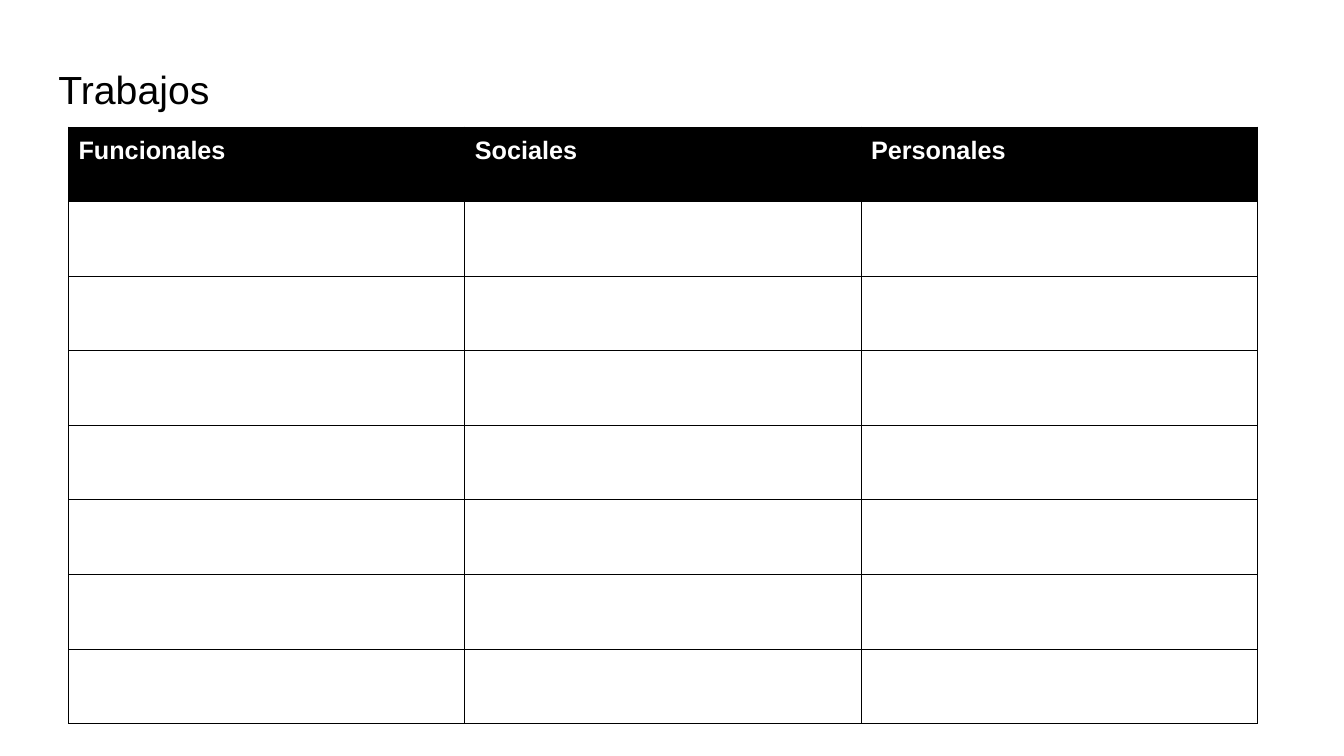
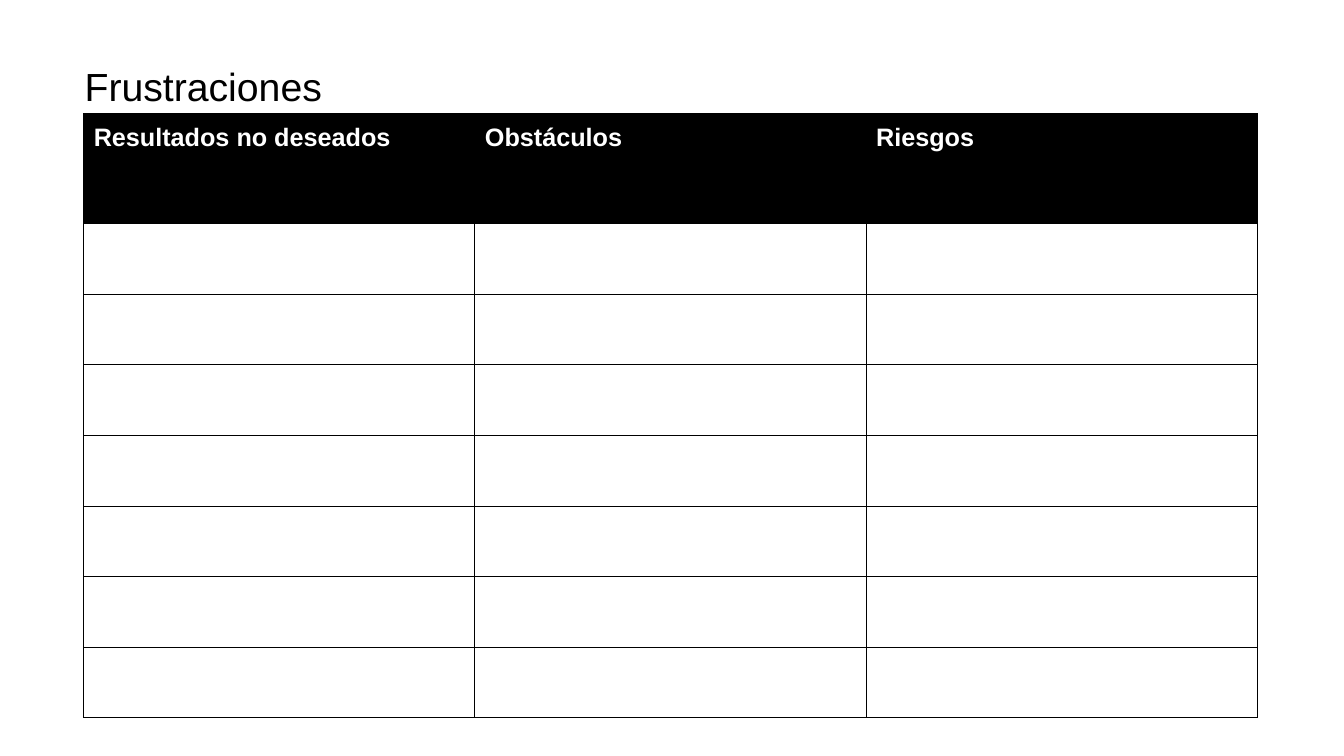
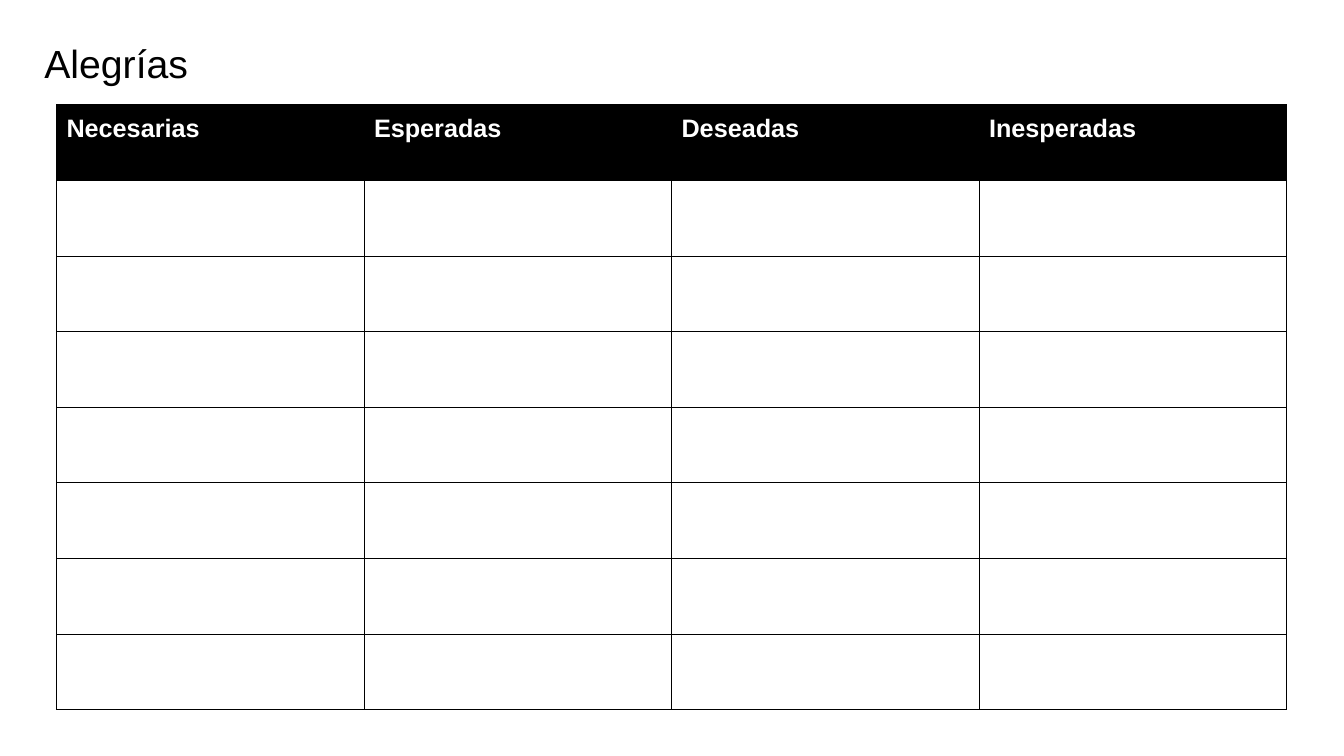
from lxml.etree import SubElement
from pptx import Presentation
from pptx.dml.color import RGBColor
from pptx.enum.text import MSO_ANCHOR as ANCHOR, MSO_AUTO_SIZE as AUTO, PP_ALIGN as ALIGN
from pptx.oxml.ns import qn
from pptx.util import Inches, Pt

# Shared style
BLACK, WHITE = "000000", "FFFFFF"
FONT = "Arial"
BODY_ROWS = 7
TITLE_SIZE = (3, 0.57)
TITLE_FRAME = {"word_wrap": True, "vertical_anchor": ANCHOR.TOP, "auto_size": AUTO.SHAPE_TO_FIT_TEXT}
TITLE_FONT = {"name": FONT, "size": Pt(28), "bold": False}
HEADER_FONT = {"name": FONT, "size": Pt(18), "bold": True}
CELL_MARGINS = {f"margin_{side}": Inches(0.1) for side in ("left", "top", "right", "bottom")}

# Title, title position, table position, column width, header height, row height, headings
SLIDES = [
    ("Trabajos", (0.48, 0.6), (0.68, 1.26), 3.93, 0.74, 0.74,
     ["Funcionales", "Sociales", "Personales"]),
    ("Frustraciones", (0.74, 0.57), (0.83, 1.13), 3.88, 1.09, 0.7,
     ["Resultados no deseados", "Obstáculos", "Riesgos"]),
    ("Alegrías", (0.34, 0.34), (0.56, 1.04), 3.05, 0.75, 0.75,
     ["Necesarias", "Esperadas", "Deseadas", "Inesperadas"]),
]


def write(tf, text, font, color):
    p = tf.paragraphs[0]
    p.alignment = ALIGN.LEFT
    r = p.add_run()
    r.text = text
    for name, value in font.items():
        setattr(r.font, name, value)
    r.font.color.rgb = RGBColor.from_string(color)


def add_borders(cell, color, width):
    tc_pr = cell._tc.get_or_add_tcPr()
    for side in ("lnL", "lnR", "lnT", "lnB"):
        ln = SubElement(tc_pr, qn(f"a:{side}"), w=str(width))
        fill = SubElement(ln, qn("a:solidFill"))
        SubElement(fill, qn("a:srgbClr"), val=color)


prs = Presentation()
prs.slide_width, prs.slide_height = Inches(13.33), Inches(7.5)

for title, title_at, table_at, col_width, header_height, row_height, headings in SLIDES:
    s = prs.slides.add_slide(prs.slide_layouts[5])

    # Title
    sp = s.shapes.title
    sp.left, sp.top, sp.width, sp.height = map(Inches, title_at + TITLE_SIZE)
    tf = sp.text_frame
    for name, value in TITLE_FRAME.items():
        setattr(tf, name, value)
    write(tf, title, TITLE_FONT, BLACK)

    # Table grid
    width = col_width * len(headings)
    height = header_height + row_height * BODY_ROWS
    table = s.shapes.add_table(BODY_ROWS + 1, len(headings),
                               *map(Inches, table_at + (width, height))).table
    table.horz_banding = False
    for col in table.columns:
        col.width = Inches(col_width)
    for i, row in enumerate(table.rows):
        row.height = Inches(row_height if i else header_height)

    # Cell borders, margins and fills
    for cell in table.iter_cells():
        for name, value in CELL_MARGINS.items():
            setattr(cell, name, value)
        add_borders(cell, BLACK, Pt(0.75))
        cell.fill.background()

    # Header row
    for cell, heading in zip(table.rows[0].cells, headings):
        cell.fill.solid()
        cell.fill.fore_color.rgb = RGBColor.from_string(BLACK)
        write(cell.text_frame, heading, HEADER_FONT, WHITE)

prs.save("out.pptx")
